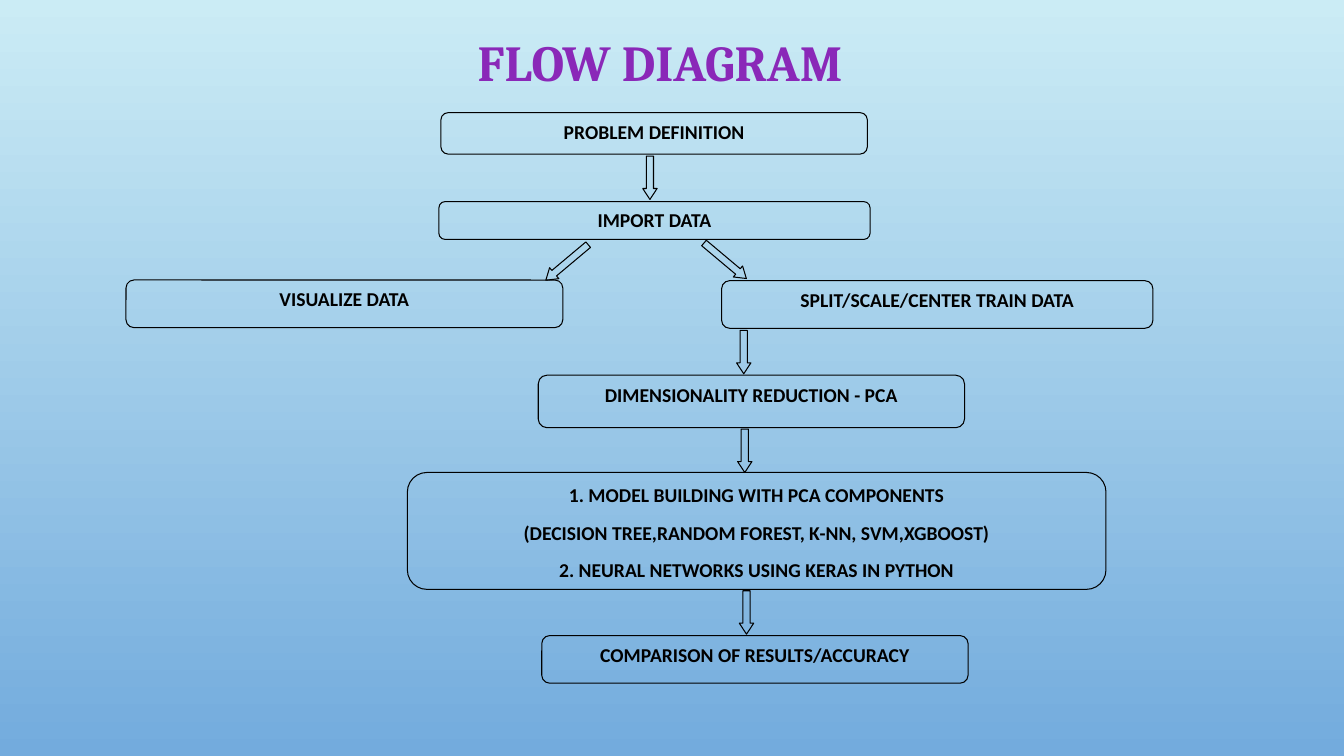
from pptx import Presentation
from pptx.dml.color import RGBColor
from pptx.enum.shapes import MSO_SHAPE
from pptx.enum.text import MSO_ANCHOR, PP_ALIGN
from pptx.util import Pt

COLORS = {"sky": "CBECF5", "blue": "73ABDD", "purple": "8A28B8", "black": "000000"}

STEPS = [
    (315, 80.5, 304.5, 29.5, ["PROBLEM DEFINITION"]),
    (313.5, 144, 308, 27, ["IMPORT DATA"]),
    (90, 200, 312, 34, ["VISUALIZE DATA"]),
    (515.5, 200.5, 308, 34, ["SPLIT/SCALE/CENTER TRAIN DATA"]),
    (384.5, 268, 304.5, 37.5, ["DIMENSIONALITY REDUCTION - PCA"]),
    (291, 337.5, 499, 83.5, [
        "1. MODEL BUILDING WITH PCA COMPONENTS",
        "(DECISION TREE,RANDOM FOREST, K-NN, SVM,XGBOOST)",
        "2. NEURAL NETWORKS USING KERAS IN PYTHON",
    ]),
    (387, 454, 304.5, 34, ["COMPARISON OF RESULTS/ACCURACY"]),
]

DOWN_ARROWS = [(464.25, 127), (531.25, 251.5), (532, 322), (533.25, 437.5)]
BRANCH_ARROWS = [(405, 187.5, 50), (518, 186.25, 310)]


def rgb(name):
    """Return the named colour."""
    return RGBColor.from_string(COLORS[name])


def write_text(frame, lines, *, size, font, color, anchor, after=0, spacing=1.0):
    """Write centred bold paragraphs into a text frame."""
    frame.word_wrap = True
    frame.vertical_anchor = anchor
    for index, line in enumerate(lines):
        para = frame.paragraphs[0] if index == 0 else frame.add_paragraph()
        para.alignment = PP_ALIGN.CENTER
        para.space_after = Pt(after)
        para.line_spacing = spacing
        span = para.add_run()
        span.text = line
        span.font.size = Pt(size)
        span.font.name = font
        span.font.bold = True
        span.font.color.rgb = rgb(color)


def add_outline(page, kind, left, top, width, height):
    """Add an unfilled preset shape with a thin black line."""
    shape = page.shapes.add_shape(kind, Pt(left), Pt(top), Pt(width), Pt(height))
    shape.shadow.inherit = False
    shape.fill.background()
    shape.line.color.rgb = rgb("black")
    shape.line.width = Pt(0.75)
    return shape


def add_step(page, left, top, width, height, lines):
    """Add one rounded step of the flow."""
    box = add_outline(page, MSO_SHAPE.FLOWCHART_ALTERNATE_PROCESS, left, top, width, height)
    write_text(box.text_frame, lines, size=14, font="Calibri", color="black",
               anchor=MSO_ANCHOR.TOP, after=10)


def add_arrow(page, center_x, center_y, length, width=10.25, rotation=0):
    """Add a block arrow around a centre point."""
    arrow = add_outline(page, MSO_SHAPE.DOWN_ARROW, center_x - width / 2,
                        center_y - length / 2, width, length)
    arrow.adjustments[0] = 0.5
    arrow.adjustments[1] = 0.76
    arrow.rotation = rotation


def add_title(page, text):
    """Add the slide title."""
    box = page.shapes.add_textbox(Pt(63.5), Pt(0), Pt(816), Pt(93))
    write_text(box.text_frame, [text], size=36, font="Cambria", color="purple",
               anchor=MSO_ANCHOR.MIDDLE, spacing=0.9)


def paint_background(page):
    """Fill the page with a gradient from top to bottom."""
    fill = page.background.fill
    fill.gradient()
    fill.gradient_angle = 270
    for stop, name, position in zip(fill.gradient_stops, ("sky", "blue"), (0, 1)):
        stop.color.rgb = rgb(name)
        stop.position = position


def main():
    """Build the flow diagram slide."""
    deck = Presentation()
    deck.slide_width, deck.slide_height = Pt(960), Pt(540)
    page = deck.slides.add_slide(deck.slide_layouts[6])
    paint_background(page)
    add_title(page, "FLOW DIAGRAM")
    for step in STEPS:
        add_step(page, *step)
    for center_x, center_y in DOWN_ARROWS:
        add_arrow(page, center_x, center_y, 31)
    for center_x, center_y, rotation in BRANCH_ARROWS:
        add_arrow(page, center_x, center_y, 39.5, rotation=rotation)
    deck.save("out.pptx")


if __name__ == "__main__":
    main()
